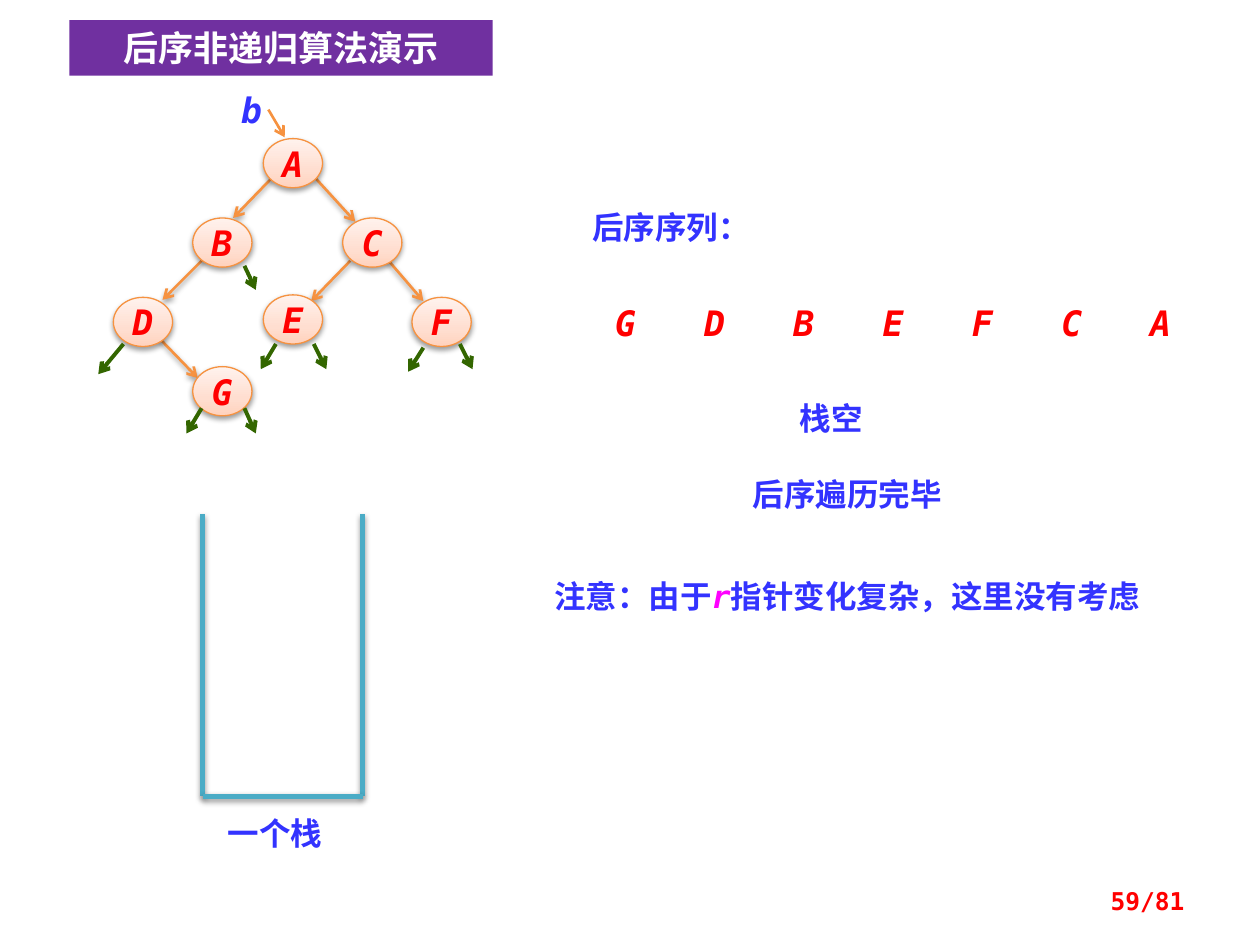
import copy

import pptx
import pptx.dml.color
import pptx.enum.shapes
import pptx.enum.text
import pptx.oxml
import pptx.oxml.ns
import pptx.util

MONO = "DejaVu Sans Mono"
SANS = "Noto Sans CJK SC"
BLUE, RED, ORANGE, GREEN, TEAL = "3333FF", "FF0000", "F69240", "336600", "4BACC6"
ALIGN = pptx.enum.text.PP_ALIGN
ANCHOR = pptx.enum.text.MSO_ANCHOR
NAMESPACE = 'xmlns:a="http://schemas.openxmlformats.org/drawingml/2006/main"'

# Tree layout: left and top of each node, then the ends of the arrows
NODE_SIZE = (0.47, 0.39)
NODES = {"A": (2.09, 1.1), "B": (1.53, 1.73), "C": (2.72, 1.73), "D": (0.9, 2.36),
         "E": (2.09, 2.34), "F": (3.27, 2.36), "G": (1.53, 2.91)}
EDGES = [(1.26, 2.68, 1.57, 3), (2.16, 1.41, 1.85, 1.73), (2.5, 1.41, 2.82, 1.76),
         (1.64, 2.03, 1.29, 2.38), (2.78, 2.07, 2.47, 2.39), (3.05, 2.03, 3.36, 2.39)]
NULL_LINKS = [(1.94, 3.24, 2.03, 3.44), (1.6, 3.24, 1.48, 3.44), (2.49, 2.73, 2.59, 2.93),
              (2.19, 2.73, 2.07, 2.93), (3.65, 2.73, 3.75, 2.93), (3.36, 2.76, 3.24, 2.95),
              (0.98, 2.73, 0.78, 2.97), (1.94, 2.11, 2.03, 2.3)]


def inches(values):
    return [pptx.util.Inches(value) for value in values]


def color(value):
    return pptx.dml.color.RGBColor.from_string(value)


def set_effects(shape, shadow):
    """Give the shape a soft shadow below it, or an empty effect list."""
    inner = ""
    if shadow:
        inner = ('<a:outerShdw blurRad="39400" dist="20300" dir="5400000" rotWithShape="0">'
                 '<a:srgbClr val="000000"><a:alpha val="38000"/></a:srgbClr></a:outerShdw>')
    shape._element.spPr.append(
        pptx.oxml.parse_xml(f"<a:effectLst {NAMESPACE}>{inner}</a:effectLst>"))


def style_font(font, size, value, name=MONO, italic=False):
    font.name, font.size = name, pptx.util.Pt(size)
    font.bold, font.italic = True, italic
    font.color.rgb = color(value)
    # Chinese characters use the sans face
    east_asian = pptx.oxml.parse_xml(f'<a:ea {NAMESPACE} typeface="{SANS}"/>')
    font._element.find(pptx.oxml.ns.qn("a:latin")).addnext(east_asian)


def write(shape, text, size, value, name=MONO, italic=False, align=ALIGN.LEFT,
          anchor=ANCHOR.TOP, wrap=True, margin=None):
    frame = shape.text_frame
    frame.auto_size = pptx.enum.text.MSO_AUTO_SIZE.NONE
    frame.word_wrap, frame.vertical_anchor = wrap, anchor
    if margin is not None:
        frame.margin_left = frame.margin_right = margin
        frame.margin_top = frame.margin_bottom = margin
    paragraph = frame.paragraphs[0]
    paragraph.text, paragraph.alignment = text, align
    style_font(paragraph.font, size, value, name, italic)
    return paragraph


def add_text(slide, box, text, size=18, value=BLUE, **options):
    return write(slide.shapes.add_textbox(*inches(box)), text, size, value, **options)


def add_line(slide, ends, value, width, arrow=True, shadow=False):
    line = slide.shapes.add_connector(pptx.enum.shapes.MSO_CONNECTOR.STRAIGHT, *inches(ends))
    line.line.color.rgb = color(value)
    line.line.width = pptx.util.Pt(width)
    if arrow:
        line.line._get_or_add_ln().append(
            pptx.oxml.parse_xml(f'<a:tailEnd {NAMESPACE} type="arrow"/>'))
    set_effects(line, shadow)


def add_node(slide, letter, place):
    node = slide.shapes.add_shape(
        pptx.enum.shapes.MSO_SHAPE.OVAL, *inches(place + NODE_SIZE))
    node.fill.gradient()
    node.fill.gradient_angle = 90
    first_stop = node._element.spPr.find(".//" + pptx.oxml.ns.qn("a:gs"))
    first_stop.addnext(copy.deepcopy(first_stop))
    shades = [(0, "FFD2BD"), (0.35, "FFDED0"), (1, "FFF2ED")]
    for stop, (position, shade) in zip(node.fill.gradient_stops, shades):
        stop.position, stop.color.rgb = position, color(shade)
    node.line.color.rgb = color(ORANGE)
    node.line.width = pptx.util.Pt(0.75)
    set_effects(node, True)
    write(node, letter, 20, RED, italic=True, align=ALIGN.CENTER,
          anchor=ANCHOR.MIDDLE, wrap=False)


def add_title(slide, text):
    title = slide.shapes.title
    title.left, title.top, title.width, title.height = inches((0.55, 0.16, 3.36, 0.44))
    title.fill.solid()
    title.fill.fore_color.rgb = color("7030A0")
    write(title, text, 20, "FFFFFF", name=SANS, align=ALIGN.CENTER, anchor=ANCHOR.MIDDLE)


def add_tree(slide):
    for ends in EDGES:
        add_line(slide, ends, ORANGE, 1.5, shadow=True)
    for letter, place in NODES.items():
        add_node(slide, letter, place)
    for ends in NULL_LINKS:
        add_line(slide, ends, GREEN, 2.25)
    # Root pointer
    add_line(slide, (2.13, 0.87, 2.26, 1.09), ORANGE, 1.5)
    add_text(slide, (1.8, 0.7, 0.39, 0.34), "b", 20, italic=True,
             align=ALIGN.CENTER, margin=0)


def add_stack(slide):
    left, right, top, bottom = 1.61, 2.88, 4.08, 6.32
    for ends in [(left, top, left, bottom), (right, top, right, bottom),
                 (left, bottom, right, bottom)]:
        add_line(slide, ends, TEAL, 3, arrow=False, shadow=True)
    add_text(slide, (1.71, 6.41, 1.26, 0.4), "一个栈", name=SANS)


def add_result(slide):
    add_text(slide, (4.6, 1.6, 1.89, 0.4), "后序序列：")
    for column, letter in enumerate("GDBEFCA"):
        add_text(slide, (4.73 + 0.708 * column, 2.39, 0.47, 0.34), letter, 20, RED,
                 italic=True, align=ALIGN.CENTER, margin=0)
    add_text(slide, (6.25, 3.12, 1.02, 0.4), "栈空", name=SANS)
    add_text(slide, (5.23, 3.72, 2.99, 0.4), "后序遍历完毕", name=SANS, align=ALIGN.CENTER)
    # Note with the pointer name picked out
    note = add_text(slide, (4.3, 4.53, 5.39, 0.4), "注意：由于")
    pointer, rest = note.add_run(), note.add_run()
    pointer.text, rest.text = "r", "指针变化复杂，这里没有考虑"
    for run in note.runs:
        picked = run.text == "r"
        style_font(run.font, 18, "FF00FF" if picked else BLUE, italic=picked)


def main():
    presentation = pptx.Presentation()
    presentation.slide_width, presentation.slide_height = inches((10, 7.5))
    slide = presentation.slides.add_slide(presentation.slide_layouts.get_by_name("Title Only"))
    add_title(slide, "后序非递归算法演示")
    add_tree(slide)
    add_stack(slide)
    add_result(slide)
    # Page number
    add_text(slide, (7.17, 6.95, 2.33, 0.4), "59/81", 14, RED,
             align=ALIGN.RIGHT, anchor=ANCHOR.MIDDLE)
    presentation.save("out.pptx")


if __name__ == "__main__":
    main()
